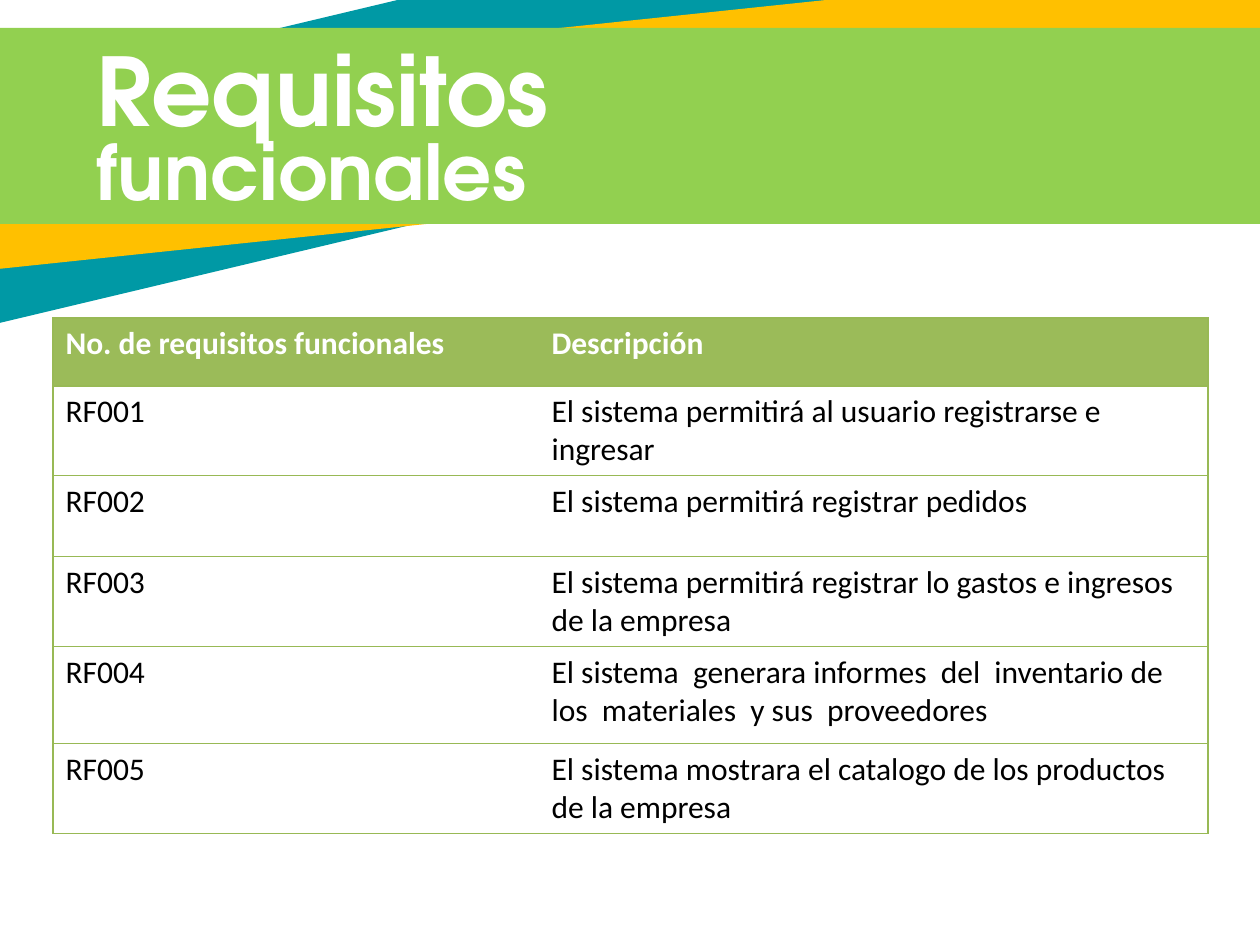
from typing import NamedTuple

from lxml import etree
from pptx import Presentation
from pptx.dml.color import RGBColor
from pptx.enum.shapes import MSO_SHAPE
from pptx.enum.text import MSO_ANCHOR
from pptx.oxml.ns import qn
from pptx.util import Emu, Pt

RECTANGLE = MSO_SHAPE.RECTANGLE
MIDDLE = MSO_ANCHOR.MIDDLE

PX_PER_INCH = 126
WHITE, BLACK = "FFFFFF", "000000"
TEAL, AMBER, GREEN = "0099A5", "FFC000", "92D050"
HEADER_GREEN, BORDER_GREEN = "9BBB59", "98B955"
TITLE_FONT, TABLE_FONT = "TeX Gyre Adventor", "Calibri"


class Band(NamedTuple):
    left: int
    top: int
    width: int
    height: int
    rotation: float
    color: str


class TitleLine(NamedTuple):
    text: str
    top: int
    width: int
    height: int
    size: int


class Row(NamedTuple):
    number: str
    description: str
    height: int


BANDS = [
    Band(-316, -23, 1646, 222, 346.6, TEAL),
    Band(-139, 25, 1465, 181, 354, AMBER),
    Band(-134, 28, 1465, 196, 0, GREEN),
]
TITLE_LEFT = 84
TITLE_LINES = [
    TitleLine("Requisitos", 37, 524, 103, 54),
    TitleLine("funcionales", 140, 496, 60, 44),
]
TABLE_LEFT, TABLE_TOP = 53, 318
COLUMN_WIDTHS = [486, 669]
ROWS = [
    Row("No. de requisitos funcionales", "Descripción", 68),
    Row("RF001", "El sistema permitirá al usuario registrarse e ingresar", 90),
    Row("RF002", "El sistema permitirá registrar pedidos", 81),
    Row("RF003", "El sistema permitirá registrar lo gastos e ingresos de la empresa", 90),
    Row("RF004", "El sistema  generara informes  del  inventario de los  materiales  y sus  proveedores", 97),
    Row("RF005", "El sistema mostrara el catalogo de los productos de la empresa", 90),
]


def px(n: int) -> Emu:
    return Emu(round(n * 914400 / PX_PER_INCH))


def rgb(color: str) -> RGBColor:
    return RGBColor.from_string(color)


def set_font(p, name: str, size: int, color: str, bold: bool) -> None:
    p.font.name = name
    p.font.size = Pt(size)
    p.font.color.rgb = rgb(color)
    p.font.bold = bold


def add_band(s, band: Band) -> None:
    sp = s.shapes.add_shape(RECTANGLE, px(band.left), px(band.top), px(band.width), px(band.height))
    sp.rotation = band.rotation
    sp.shadow.inherit = False
    sp.fill.solid()
    sp.fill.fore_color.rgb = rgb(band.color)
    sp.line.fill.background()


def add_title_line(s, line: TitleLine) -> None:
    box = s.shapes.add_textbox(px(TITLE_LEFT), px(line.top), px(line.width), px(line.height))
    tf = box.text_frame
    tf.word_wrap = True
    tf.vertical_anchor = MIDDLE
    p = tf.paragraphs[0]
    p.text = line.text
    set_font(p, TITLE_FONT, line.size, WHITE, True)


def set_borders(cell, visible_sides: str) -> None:
    """Draw the sides named in visible_sides (L, R, T, B) and hide the others."""
    tc_pr = cell._tc.get_or_add_tcPr()
    for side in "LRTB":
        ln = etree.SubElement(tc_pr, qn(f"a:ln{side}"), w=str(Pt(0.75)))
        if side in visible_sides:
            fill = etree.SubElement(ln, qn("a:solidFill"))
            etree.SubElement(fill, qn("a:srgbClr"), val=BORDER_GREEN)
        else:
            etree.SubElement(ln, qn("a:noFill"))


def add_requirements_table(s) -> None:
    frame = s.shapes.add_table(
        len(ROWS), len(COLUMN_WIDTHS), px(TABLE_LEFT), px(TABLE_TOP),
        px(sum(COLUMN_WIDTHS)), px(sum(row.height for row in ROWS)))
    table = frame.table
    table.horz_banding = False
    for column, width in zip(table.columns, COLUMN_WIDTHS):
        column.width = px(width)
    for i, row in enumerate(ROWS):
        table.rows[i].height = px(row.height)
        is_header = i == 0
        for j, (text, outer_side) in enumerate(zip((row.number, row.description), "LR")):
            cell = table.cell(i, j)
            set_borders(cell, outer_side + "TB")
            if is_header:
                cell.fill.solid()
                cell.fill.fore_color.rgb = rgb(HEADER_GREEN)
            else:
                cell.fill.background()
            p = cell.text_frame.paragraphs[0]
            p.text = text
            set_font(p, TABLE_FONT, 18, WHITE if is_header else BLACK, is_header)


def main() -> None:
    prs = Presentation()
    prs.slide_width, prs.slide_height = px(1260), px(945)
    s = prs.slides.add_slide(prs.slide_layouts[6])
    for band in BANDS:
        add_band(s, band)
    for line in TITLE_LINES:
        add_title_line(s, line)
    add_requirements_table(s)
    prs.save("out.pptx")


if __name__ == "__main__":
    main()
